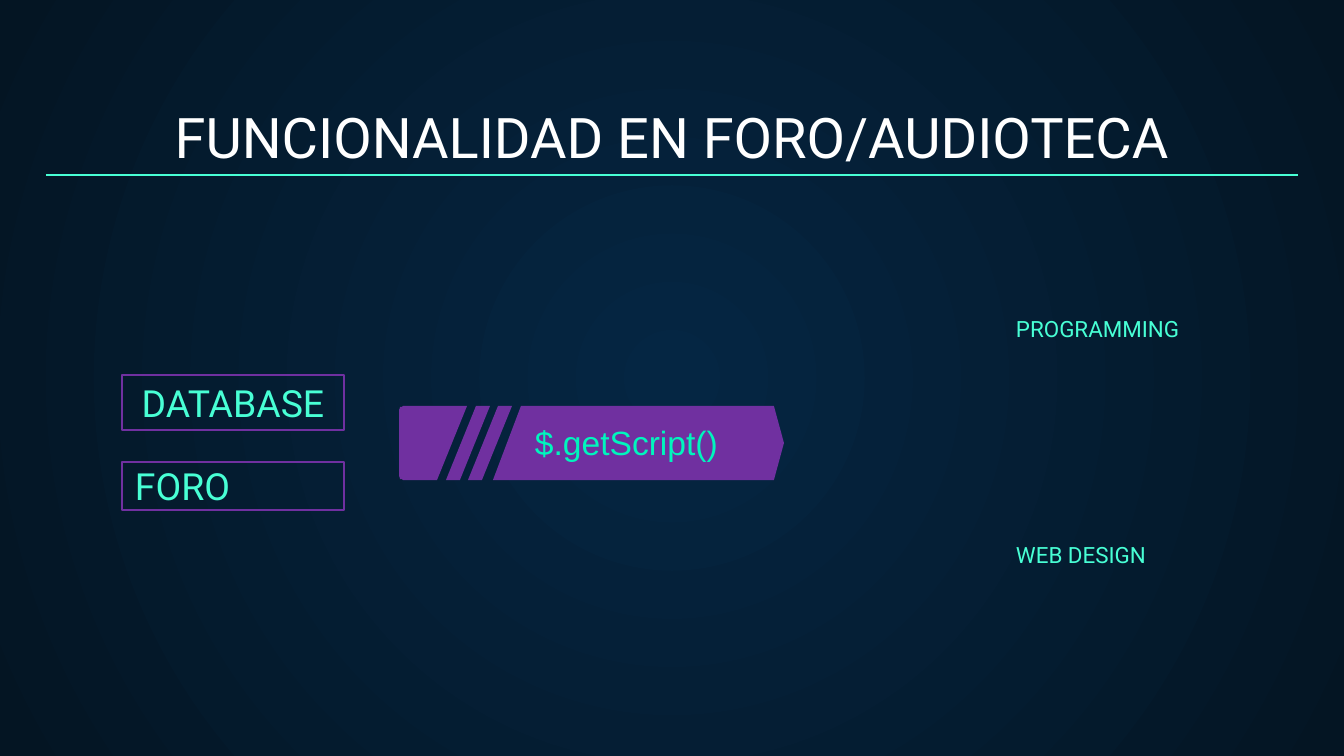
"""Build the forum and audio library functionality slide."""
from math import cos, radians, sin

from lxml import etree
from pptx import Presentation
from pptx.dml.color import RGBColor
from pptx.enum.shapes import MSO_CONNECTOR, MSO_SHAPE
from pptx.enum.text import MSO_ANCHOR, PP_ALIGN
from pptx.oxml.ns import qn
from pptx.util import Pt

W, H = 1344, 756
SCALE = 9144000 / W
RECT, STRAIGHT = MSO_SHAPE.RECTANGLE, MSO_CONNECTOR.STRAIGHT
TOP, MIDDLE, BOTTOM = MSO_ANCHOR.TOP, MSO_ANCHOR.MIDDLE, MSO_ANCHOR.BOTTOM
LEFT, CENTER = PP_ALIGN.LEFT, PP_ALIGN.CENTER
COLORS = {"center": "052643", "edge": "041523", "white": "FFFFFF",
          "mint": "48FFD5", "green": "00F5BD", "purple": "7030A0"}


def emu(px):
    return round(px * SCALE)


def rgb(name):
    return RGBColor.from_string(COLORS[name])


class Deck:
    def __init__(self, prs):
        self.font = "Roboto"
        self.s = prs.slides.add_slide(prs.slide_layouts[6])

    def background(self, inner, outer):
        fill = self.s.background.fill
        fill.gradient()
        for stop, color in zip(fill.gradient_stops, (inner, outer)):
            stop.color.rgb = rgb(color)
        grad = self.s.element.find(".//" + qn("a:gradFill"))
        grad.remove(grad.find(qn("a:lin")))
        circle = etree.SubElement(grad, qn("a:path"), {"path": "circle"})
        etree.SubElement(circle, qn("a:fillToRect"), dict.fromkeys("ltrb", "50000"))

    def label(self, sp, text, size, color, align, anchor, inset=13, font=None):
        tf = sp.text_frame
        tf.word_wrap = True
        tf.vertical_anchor = anchor
        tf.margin_left = tf.margin_right = emu(13)
        tf.margin_top = tf.margin_bottom = emu(inset)
        tf.text = text
        p = tf.paragraphs[0]
        p.alignment = align
        r = p.runs[0]
        r.font.name = font or self.font
        r.font.size = Pt(size)
        r.font.color.rgb = rgb(color)

    def text(self, box, text, size, color, align=LEFT, anchor=TOP, **style):
        sp = self.s.shapes.add_textbox(*map(emu, box))
        self.label(sp, text, size, color, align, anchor, **style)

    def frame(self, box, text, align):
        sp = self.s.shapes.add_shape(RECT, *map(emu, box))
        sp.shadow.inherit = False
        sp.fill.background()
        sp.line.color.rgb = rgb("purple")
        sp.line.width = Pt(0.75)
        self.label(sp, text, 20, "mint", align, MIDDLE)

    def line(self, x1, y1, x2, y2):
        sp = self.s.shapes.add_connector(STRAIGHT, *map(emu, (x1, y1, x2, y2)))
        sp.line.color.rgb = rgb("mint")
        sp.line.width = Pt(0.75)
        etree.SubElement(sp.element.spPr, qn("a:effectLst"))

    def polygons(self, outlines):
        group = self.s.shapes.add_group_shape()
        for points in outlines:
            builder = group.shapes.build_freeform(*points[0], scale=SCALE)
            builder.add_line_segments(points[1:], close=True)
            sp = builder.convert_to_shape()
            sp.shadow.inherit = False
            sp.fill.solid()
            sp.fill.fore_color.rgb = rgb("purple")
            sp.line.fill.background()


def corner(cx, cy, radius, start):
    angles = [radians(start + step) for step in range(0, 91, 15)]
    return [(cx + radius * cos(a), cy - radius * sin(a)) for a in angles]


def banner(top, bottom):
    body = [(521, top), (493, bottom), (774, bottom),
            (784, (top + bottom) // 2), (774, top)]
    tab = [(467, top), *corner(404, top + 5, 5, 90),
           *corner(404, bottom - 5, 5, 180), (437, bottom)]
    stripes = [[(x + 30, top), (x, bottom), (x + 14, bottom), (x + 44, top)]
               for x in (446, 468)]
    return [body, tab, *stripes]


def main():
    prs = Presentation()
    prs.slide_width, prs.slide_height = emu(W), emu(H)
    deck = Deck(prs)
    deck.background("center", "edge")
    deck.text((46, 94, 1252, 89), "FUNCIONALIDAD EN FORO/AUDIOTECA", 30,
              "white", CENTER, BOTTOM)
    deck.frame((122, 375, 222, 55), "DATABASE", CENTER)
    for y, topic in ((302, "PROGRAMMING"), (528, "WEB DESIGN")):
        deck.text((1003, y, 305, 28), topic, 12, "mint")
    deck.line(46, 175, 1298, 175)
    deck.polygons(banner(406, 480))
    deck.frame((122, 462, 222, 48), "FORO", LEFT)
    deck.text((522, 415, 227, 54), "$.getScript()", 18, "green",
              inset=7, font="Arial")
    prs.save("out.pptx")


if __name__ == "__main__":
    main()
